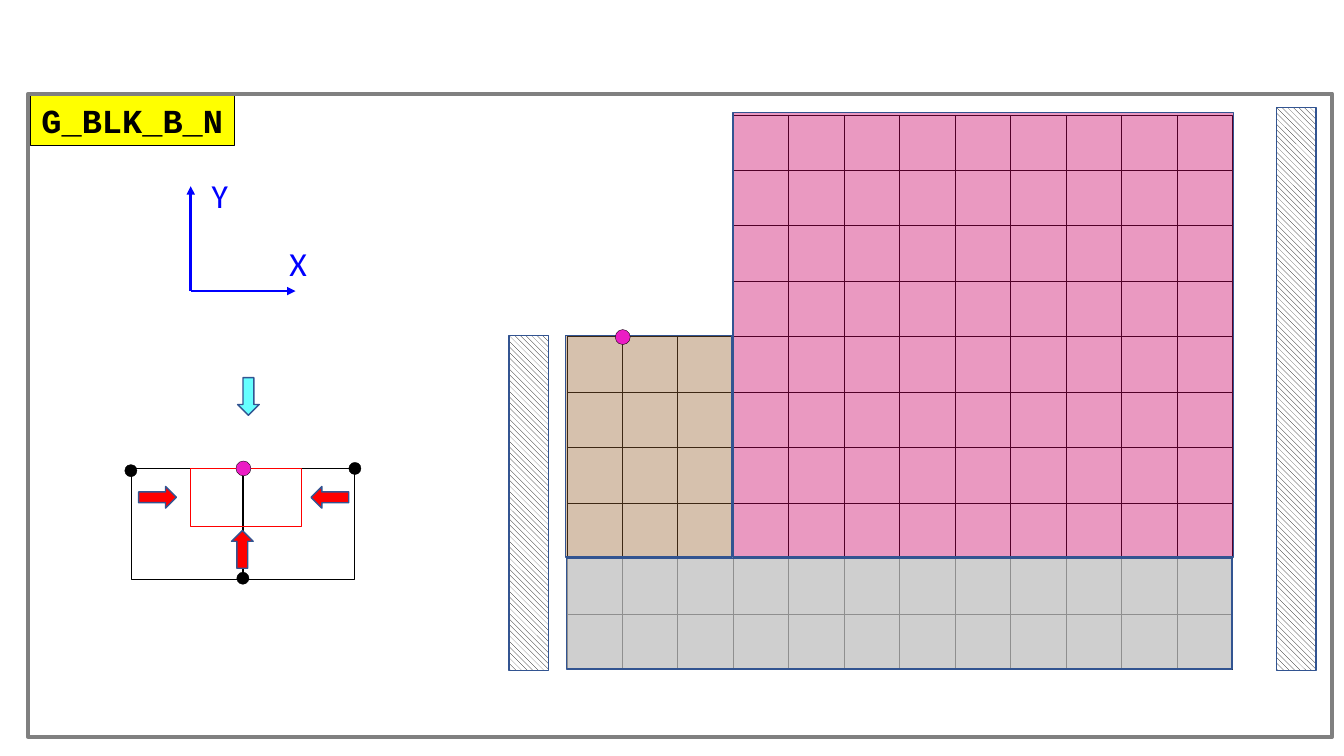
from lxml.etree import SubElement
from pptx import Presentation
from pptx.dml.color import RGBColor
from pptx.enum.dml import MSO_PATTERN
from pptx.enum.shapes import MSO_CONNECTOR, MSO_SHAPE as Preset
from pptx.enum.text import MSO_ANCHOR, MSO_AUTO_SIZE, PP_ALIGN
from pptx.oxml.ns import qn
from pptx.util import Inches, Pt

CELL = 0.55  # side of one mesh cell, in inches; every length below is in cells

# Corners of the four parts of the drawing
BLOCKS = (10.22, 10.07)  # top left of the ground mesh; rows go negative upwards
ELEMENT = (2.36, 8.45)
AXES = (3.44, 5.25)
FRAME = (0.51, 1.69)

BLACK, BLUE, RED = "000000", "0000FF", "FF0000"
OUTLINE, MAGENTA = "325491", "EB1DC4"


def cells(count):
    return Inches(count * CELL)


def colour(value):
    return RGBColor.from_string(value)


def place(part, col, row):
    return cells(part[0] + col), cells(part[1] + row)


def panel(slide, part, col, row, cols, rows, fill=None, line=BLACK, weight=0.25,
          opacity=100, preset=Preset.RECTANGLE):
    shape = slide.shapes.add_shape(preset, *place(part, col, row), cells(cols), cells(rows))
    shape.shadow.inherit = False
    shape.line.color.rgb = colour(line)
    shape.line.width = Pt(weight)
    if fill is None:
        shape.fill.background()
    else:
        shape.fill.solid()
        shape.fill.fore_color.rgb = colour(fill)
        if opacity < 100:
            tint = shape.fill._xPr.find(qn("a:solidFill"))[0]
            SubElement(tint, qn("a:alpha"), val=str(opacity * 1000))
    return shape


def mesh(slide, col, row, cols, rows):
    for r in range(rows):
        for c in range(cols):
            panel(slide, BLOCKS, col + c, row + r, 1, 1)


def wall(slide, col, row, rows):
    hatch = panel(slide, BLOCKS, col, row, 0.71, rows, "FFFFFF", OUTLINE, 1).fill
    hatch.patterned()
    hatch.pattern = MSO_PATTERN.WIDE_DOWNWARD_DIAGONAL
    hatch.fore_color.rgb = colour(BLACK)
    hatch.back_color.rgb = colour("FFFFFF")


def node(slide, part, col, row, size, fill):
    panel(slide, part, col - size / 2, row - size / 2, size, size, fill, preset=Preset.OVAL)


def push(slide, col, row, turn, fill):
    width, length = 0.39, 0.68
    arrow = panel(slide, ELEMENT, col - width / 2, row - length / 2, width, length,
                  fill, OUTLINE, 1, preset=Preset.UP_ARROW)
    arrow.rotation = turn


def axis(slide, col, row):
    arrow = slide.shapes.add_connector(
        MSO_CONNECTOR.STRAIGHT, *place(AXES, 0, 0), *place(AXES, col, row))
    arrow.line.color.rgb = colour(BLUE)
    arrow.line.width = Pt(2)
    SubElement(arrow.line._get_or_add_ln(), qn("a:tailEnd"), type="triangle")
    SubElement(arrow._element.spPr, qn("a:effectLst"))


def write(shape, words, font, ink, bold=False, align=PP_ALIGN.LEFT):
    frame = shape.text_frame
    frame.text = words
    frame.word_wrap = False
    frame.auto_size = MSO_AUTO_SIZE.SHAPE_TO_FIT_TEXT
    frame.paragraphs[0].alignment = align
    run = frame.paragraphs[0].runs[0]
    run.font.name, run.font.size, run.font.bold = font, Pt(24), bold
    run.font.color.rgb = colour(ink)


def axis_letter(slide, letter, col, row):
    box = slide.shapes.add_textbox(*place(AXES, col, row), cells(0.69), cells(0.91))
    write(box, letter, "Calibri", BLUE)


def draw_blocks(slide):
    # Ground, small block and tall block: meshes first, tints over them
    mesh(slide, 0, 0, 12, 2)
    mesh(slide, 0, -4, 3, 4)
    mesh(slide, 3, -8, 9, 8)
    panel(slide, BLOCKS, 0, 0, 12, 2, "BFBFBF", OUTLINE, 1, 75)
    panel(slide, BLOCKS, -0.02, -4.02, 3, 4, "996633", OUTLINE, 1, 40)
    panel(slide, BLOCKS, 3, -8.04, 9.02, 8.02, "CC0066", OUTLINE, 1, 40)
    node(slide, BLOCKS, 1.01, -3.99, 0.27, MAGENTA)
    # Hatched walls on both sides
    wall(slide, -1.04, -4.02, 6.04)
    wall(slide, 12.8, -8.13, 10.15)


def draw_element(slide):
    # Two neighbouring cells and the red zone across them
    panel(slide, ELEMENT, 2.02, 0, 2, 2)
    panel(slide, ELEMENT, 0, 0, 2, 2)
    panel(slide, ELEMENT, 1.07, 0, 2, 1.05, line=RED)
    node(slide, ELEMENT, 2.03, 0, 0.27, MAGENTA)
    for col, row in ((2.02, 1.98), (0, 0.04), (4.04, 0)):
        node(slide, ELEMENT, col, row, 0.22, BLACK)
    # Arrows pushing on the element
    push(slide, 2.12, -1.3, 180, "66FFFF")
    for col, row, turn in ((2.01, 1.46, 0), (3.59, 0.52, 270), (0.48, 0.52, 90)):
        push(slide, col, row, turn, RED)


def draw_axes(slide):
    axis(slide, 1.89, 0)
    axis(slide, 0, -1.89)
    axis_letter(slide, "X", 1.6, -0.95)
    axis_letter(slide, "Y", 0.2, -2.18)


def draw_frame(slide):
    label = panel(slide, FRAME, 0.04, 0.02, 3.67, 0.91, "FFFF00")
    label.text_frame.vertical_anchor = MSO_ANCHOR.TOP
    write(label, "G_BLK_B_N", "Courier New", BLACK, True, PP_ALIGN.CENTER)
    panel(slide, FRAME, 0, 0, 23.51, 11.6, line="808080", weight=3)


def main():
    deck = Presentation()
    deck.slide_width, deck.slide_height = Inches(13.33), Inches(7.5)
    slide = deck.slides.add_slide(deck.slide_layouts[6])
    draw_blocks(slide)
    draw_element(slide)
    draw_axes(slide)
    draw_frame(slide)
    deck.save("out.pptx")


if __name__ == "__main__":
    main()
